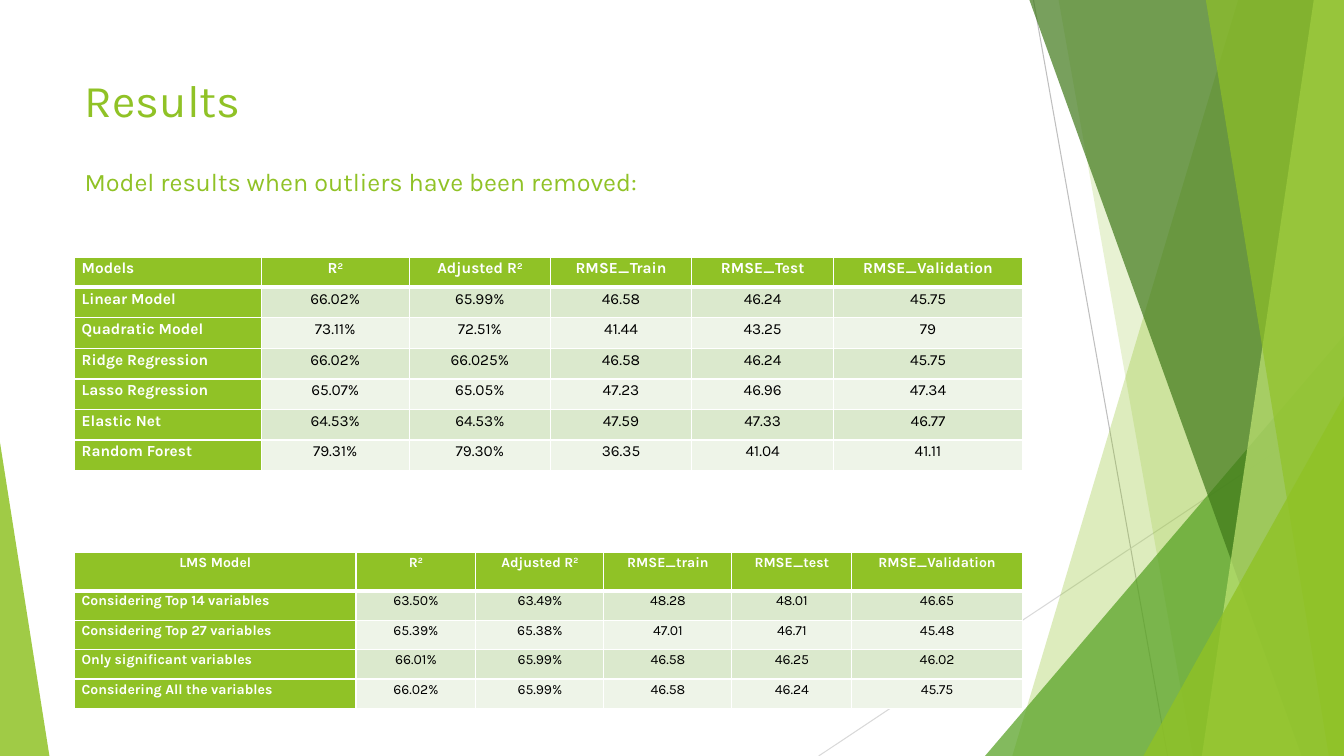
"""Build the results slide with two model comparison tables."""
import pptx
import pptx.dml.color
import pptx.enum.shapes
import pptx.enum.text
import pptx.oxml
import pptx.oxml.ns
import pptx.util

Inches = pptx.util.Inches
Pt = pptx.util.Pt

FONT = "Karla"
COLORS = {
    "green": "90C226", "leaf": "54A021", "forest": "3F7819", "lime": "C0E474",
    "odd_row": "DBE9CD", "even_row": "EEF4E8", "white": "FFFFFF", "black": "000000",
    "gray": "BFBFBF", "light_gray": "D9D9D9",
}

TITLE = "Results"
SUBTITLE = "Model results when outliers have been removed:"

TABLES = [
    {
        "top": 5.48, "height": 1.55, "header_height": 0.38, "size": 10,
        "first_header": pptx.enum.text.PP_ALIGN.CENTER,
        "columns": [2.79, 1.19, 1.27, 1.27, 1.19, 1.69],
        "rows": [
            ["LMS Model", "R²", "Adjusted R²", "RMSE_train", "RMSE_test", "RMSE_Validation"],
            ["Considering Top 14 variables", "63.50%", "63.49%", "48.28", "48.01", "46.65"],
            ["Considering Top 27 variables", "65.39%", "65.38%", "47.01", "46.71", "45.48"],
            ["Only significant variables", "66.01%", "65.99%", "46.58", "46.25", "46.02"],
            ["Considering All the variables", "66.02%", "65.99%", "46.58", "46.24", "45.75"],
        ],
    },
    {
        "top": 2.55, "height": 2.12, "header_height": 0.3, "size": 11,
        "first_header": pptx.enum.text.PP_ALIGN.LEFT,
        "columns": [1.85, 1.47, 1.4, 1.4, 1.41, 1.87],
        "rows": [
            ["Models", "R²", "Adjusted R²", "RMSE_Train", "RMSE_Test", "RMSE_Validation"],
            ["Linear Model", "66.02%", "65.99%", "46.58", "46.24", "45.75"],
            ["Quadratic Model", "73.11%", "72.51%", "41.44", "43.25", "79"],
            ["Ridge Regression", "66.02%", "66.025%", "46.58", "46.24", "45.75"],
            ["Lasso Regression", "65.07%", "65.05%", "47.23", "46.96", "47.34"],
            ["Elastic Net", "64.53%", "64.53%", "47.59", "47.33", "46.77"],
            ["Random Forest", "79.31%", "79.30%", "36.35", "41.04", "41.11"],
        ],
    },
]

WIDTH, HEIGHT = 13.33, 7.5
LEFT = 0.74
LINES = [
    ((10.25, 0), (11.58, HEIGHT), "gray"),
    ((WIDTH, 4.03), (8.12, HEIGHT), "light_gray"),
]
BANDS = [
    ("band", 12.28, 10.04, "green", 30),
    ("band", 10.5, 11.83, "green", 20),
    ("triangle", (9.77, 3.33, 3.56, 4.17), 1, "leaf", 72),
    ("band", 10.21, 12.91, "forest", 70),
    ("band", 13.03, 11.92, "lime", 70),
    ("band", 11.96, 13.18, "green", 65),
    ("triangle", (11.34, 3.93, 1.99, 3.57), 1, "green", 80),
    ("triangle", (0, 4.39, 0.49, 3.11), 0, "green", 85),
]


def rgb(name):
    return pptx.dml.color.RGBColor.from_string(COLORS[name])


def apply(target, values):
    for name, value in values.items():
        setattr(target, name, value)


def format_font(font, size, color, bold=False):
    apply(font, {"name": FONT, "size": Pt(size), "bold": bold})
    font.color.rgb = rgb(color)


def add_line(slide, start, end, color):
    points = [Inches(value) for value in start + end]
    connector = slide.shapes.add_connector(pptx.enum.shapes.MSO_CONNECTOR.STRAIGHT, *points)
    connector.line.color.rgb = rgb(color)
    connector.line.width = Pt(0.75)
    properties = connector._element.spPr
    properties.append(pptx.oxml.parse_xml(f"<a:effectLst {pptx.oxml.ns.nsdecls('a')}/>"))


def add_band(slide, kind, place, anchor, color, opacity):
    if kind == "triangle":
        shape = slide.shapes.add_shape(
            pptx.enum.shapes.MSO_SHAPE.ISOSCELES_TRIANGLE, *map(Inches, place))
        shape.adjustments[0] = anchor
    else:
        corners = [(WIDTH, 0), (WIDTH, HEIGHT), (anchor, HEIGHT)]
        builder = slide.shapes.build_freeform(Inches(place), 0)
        builder.add_line_segments([(Inches(x), Inches(y)) for x, y in corners])
        shape = builder.convert_to_shape()
    shape.shadow.inherit = False
    shape.fill.solid()
    shape.fill.fore_color.rgb = rgb(color)
    shape.line.fill.background()
    color_element = shape._element.spPr.find(".//" + pptx.oxml.ns.qn("a:srgbClr"))
    color_element.append(pptx.oxml.parse_xml(
        f'<a:alpha {pptx.oxml.ns.nsdecls("a")} val="{opacity * 1000}"/>'))


def add_text(shape, text, size):
    frame = shape.text_frame
    apply(frame, {"word_wrap": True, "vertical_anchor": pptx.enum.text.MSO_ANCHOR.TOP,
                  "auto_size": pptx.enum.text.MSO_AUTO_SIZE.NONE})
    paragraph = frame.paragraphs[0]
    paragraph.alignment = pptx.enum.text.PP_ALIGN.LEFT
    run = paragraph.add_run()
    run.text = text
    format_font(run.font, size, "green")


def format_borders(cell, row):
    widths = {"L": 1, "R": 1, "T": 3 if row == 1 else 1, "B": 3 if row == 0 else 1}
    properties = cell._tc.get_or_add_tcPr()
    for side, width in widths.items():
        properties.append(pptx.oxml.parse_xml(
            f'<a:ln{side} {pptx.oxml.ns.nsdecls("a")} w="{Pt(width)}"><a:solidFill>'
            f'<a:srgbClr val="{COLORS["white"]}"/></a:solidFill></a:ln{side}>'))


def fill_cell(cell, text, row, column, table):
    heading = row == 0 or column == 0
    apply(cell, {"margin_left": Inches(0.07), "margin_right": Inches(0.07),
                 "margin_top": 0, "margin_bottom": 0})
    format_borders(cell, row)
    cell.fill.solid()
    cell.fill.fore_color.rgb = rgb("green" if heading else "odd_row" if row % 2 else "even_row")
    alignment = pptx.enum.text.PP_ALIGN.CENTER
    if column == 0:
        alignment = pptx.enum.text.PP_ALIGN.LEFT if row else table["first_header"]
    paragraph = cell.text_frame.paragraphs[0]
    apply(paragraph, {"alignment": alignment, "line_spacing": 1.15})
    base, square, _ = text.partition("²")
    for part in filter(None, (base, square)):
        run = paragraph.add_run()
        run.text = "2" if part == "²" else part
        format_font(run.font, table["size"], "white" if heading else "black", heading)
        if part == "²":
            run._r.get_or_add_rPr().set("baseline", "30000")


def add_results(slide, table):
    rows, columns = table["rows"], table["columns"]
    grid = slide.shapes.add_table(
        len(rows), len(columns), Inches(LEFT), Inches(table["top"]),
        Inches(sum(columns)), Inches(table["height"])).table
    for column, width in zip(grid.columns, columns):
        column.width = Inches(width)
    body_height = (table["height"] - table["header_height"]) / (len(rows) - 1)
    for row, values in enumerate(rows):
        grid.rows[row].height = Inches(body_height if row else table["header_height"])
        for column, text in enumerate(values):
            fill_cell(grid.cell(row, column), text, row, column, table)


def main():
    presentation = pptx.Presentation()
    apply(presentation, {"slide_width": Inches(WIDTH), "slide_height": Inches(HEIGHT)})
    slide = presentation.slides.add_slide(presentation.slide_layouts[5])
    for line in LINES:
        add_line(slide, *line)
    for band in BANDS:
        add_band(slide, *band)
    title = slide.shapes.title
    apply(title, {"left": Inches(LEFT), "top": Inches(0.67),
                  "width": Inches(5.27), "height": Inches(0.94)})
    add_text(title, TITLE, 32.4)
    for table in TABLES:
        add_results(slide, table)
    subtitle = slide.shapes.add_textbox(Inches(LEFT), Inches(1.6), Inches(6.36), Inches(0.4))
    add_text(subtitle, SUBTITLE, 18)
    presentation.save("out.pptx")


if __name__ == "__main__":
    main()
